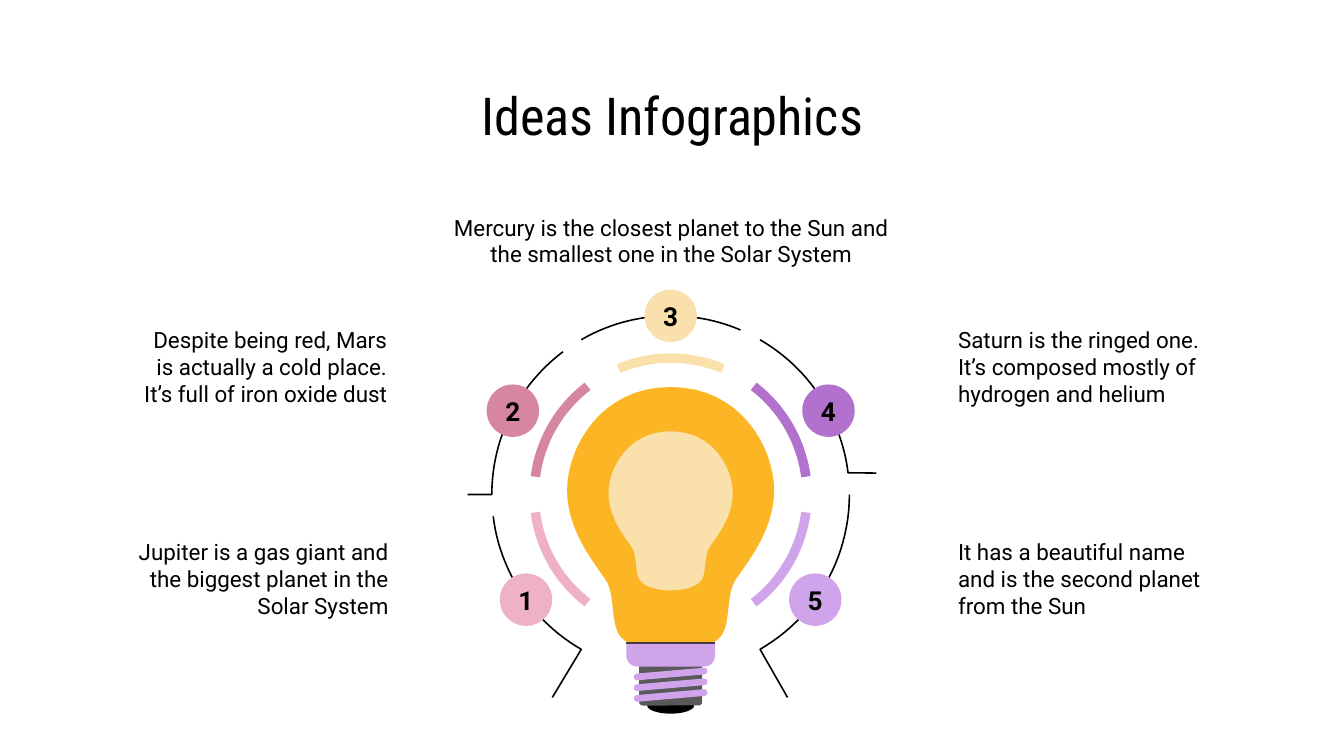
"""Build the Ideas Infographics slide: a light bulb ringed by five numbered ideas."""
from math import cos, radians, sin

from pptx import Presentation
from pptx.dml.color import RGBColor
from pptx.enum.shapes import MSO_SHAPE
from pptx.enum.text import MSO_ANCHOR, PP_ALIGN
from pptx.util import Inches, Pt

BLACK = RGBColor(0x00, 0x00, 0x00)
GREY = RGBColor(0x59, 0x59, 0x59)
ORANGE = RGBColor(0xFC, 0xB5, 0x24)
CREAM = RGBColor(0xFA, 0xE0, 0xAA)
PINK = RGBColor(0xEE, 0xB1, 0xC7)
ROSE = RGBColor(0xD6, 0x86, 0xA3)
PURPLE = RGBColor(0xB2, 0x71, 0xCC)
LILAC = RGBColor(0xD0, 0xA4, 0xEB)

CX, CY = 4.99, 3.68
RING, BAND_OUTER, BAND_INNER, BADGE = 1.33, 1.05, 0.98, 0.39

prs = Presentation()
prs.slide_width = Inches(10)
prs.slide_height = Inches(10) * 9 // 16
s = prs.slides.add_slide(prs.slide_layouts[5])


def arc(radius, start, end, steps=24):
    """Return points on the ring, with angles in degrees clockwise from the top."""
    angles = [radians(start + (end - start) * i / steps) for i in range(steps + 1)]
    return [(CX + radius * sin(a), CY - radius * cos(a)) for a in angles]


def outline(points, color, closed=True):
    """Draw a filled outline, or an open thin line."""
    pts = [(Inches(x), Inches(y)) for x, y in points]
    fb = s.shapes.build_freeform(*pts[0], scale=1.0)
    fb.add_line_segments(pts[1:], close=closed)
    sp = fb.convert_to_shape()
    sp.shadow.inherit = False
    if closed:
        sp.fill.solid()
        sp.fill.fore_color.rgb = color
        sp.line.fill.background()
    else:
        sp.fill.background()
        sp.line.color.rgb = color
        sp.line.width = Pt(0.85)


title = s.shapes.title
title.left, title.top = Inches(3.12), Inches(0.59)
title.width, title.height = Inches(3.76), Inches(0.53)
tf = title.text_frame
tf.word_wrap = True
tf.vertical_anchor = MSO_ANCHOR.MIDDLE
tf.margin_left = tf.margin_right = tf.margin_top = tf.margin_bottom = Inches(0.1)
p = tf.paragraphs[0]
p.alignment = PP_ALIGN.CENTER
r = p.add_run()
r.text = "Ideas Infographics"
r.font.size, r.font.name = Pt(28), "Roboto Condensed"
r.font.color.rgb = BLACK

for start, end, tail in [
    (-97, -150, [(4.11, 5.19)]),
    (90, 150, [(5.86, 5.19)]),
    (-37, -90, [(3.48, 3.68)]),
    (23, -30, []),
    (30, 83, [(6.52, 3.52)]),
]:
    outline(arc(RING, start, end) + tail, BLACK, closed=False)

for number, color, band_angle, badge_angle in [
    ("1", PINK, -120, -126),
    ("2", ROSE, -60, -62),
    ("3", CREAM, 0, 0),
    ("4", PURPLE, 60, 62),
    ("5", LILAC, 120, 126),
]:
    start, end = band_angle - 22.5, band_angle + 22.5
    outline(arc(BAND_OUTER, start, end) + arc(BAND_INNER, end, start), color)

    x, y = arc(RING, badge_angle, badge_angle, 1)[0]
    sp = s.shapes.add_shape(MSO_SHAPE.OVAL, Inches(x - BADGE / 2), Inches(y - BADGE / 2),
                            Inches(BADGE), Inches(BADGE))
    sp.shadow.inherit = False
    sp.fill.solid()
    sp.fill.fore_color.rgb = color
    sp.line.fill.background()
    tf = sp.text_frame
    tf.word_wrap = False
    tf.vertical_anchor = MSO_ANCHOR.MIDDLE
    tf.margin_left = tf.margin_right = tf.margin_top = tf.margin_bottom = 0
    p = tf.paragraphs[0]
    p.alignment = PP_ALIGN.CENTER
    r = p.add_run()
    r.text = number
    r.font.size, r.font.name, r.font.bold = Pt(14), "Roboto", True
    r.font.color.rgb = BLACK

for text, x, y, w, h, align, anchor in [
    ("Despite being red, Mars is actually a cold place. It’s full of iron oxide dust",
     0.9, 2.33, 2.08, 0.83, PP_ALIGN.RIGHT, MSO_ANCHOR.TOP),
    ("It has a beautiful name and is the second planet from the Sun",
     7.03, 3.89, 2.08, 0.83, PP_ALIGN.LEFT, MSO_ANCHOR.MIDDLE),
    ("Saturn is the ringed one. It’s composed mostly of hydrogen and helium",
     7.03, 2.33, 2.08, 0.83, PP_ALIGN.LEFT, MSO_ANCHOR.TOP),
    ("Jupiter is a gas giant and the biggest planet in the Solar System",
     0.91, 3.89, 2.08, 0.83, PP_ALIGN.RIGHT, MSO_ANCHOR.MIDDLE),
    ("Mercury is the closest planet to the Sun and the smallest one in the Solar System",
     3.24, 1.49, 3.51, 0.57, PP_ALIGN.CENTER, MSO_ANCHOR.TOP),
]:
    tf = s.shapes.add_textbox(Inches(x), Inches(y), Inches(w), Inches(h)).text_frame
    tf.word_wrap = True
    tf.vertical_anchor = anchor
    tf.margin_left = tf.margin_right = tf.margin_top = tf.margin_bottom = Inches(0.1)
    p = tf.paragraphs[0]
    p.alignment = align
    r = p.add_run()
    r.text = text
    r.font.size, r.font.name = Pt(12), "Roboto"
    r.font.color.rgb = BLACK

right = [(0, 0), (0.52, 0), (0.77, 0.45), (0.77, 0.77), (0.77, 1.08), (0.55, 1.33),
         (0.48, 1.44), (0.41, 1.55), (0.45, 1.77), (0.37, 1.86)]
controls = right + [(0.24, 2.01), (-0.24, 2.01)] + [(-x, y) for x, y in reversed(right)]
bulb = []
for i in range(0, len(controls) - 1, 3):
    for t in [step / 16 for step in range(16)]:
        weights = [(1 - t) ** 3, 3 * t * (1 - t) ** 2, 3 * t ** 2 * (1 - t), t ** 3]
        curve = list(zip(weights, controls[i:i + 4]))
        bulb.append((sum(w * x for w, (x, y) in curve), sum(w * y for w, (x, y) in curve)))

for top, scale, color in [(2.88, 1, ORANGE), (3.21, 0.6, CREAM)]:
    outline([(CX + scale * x, top + scale * y) for x, y in bulb], color)

base = [
    (MSO_SHAPE.OVAL, 5.19, 0.35, 0.12, BLACK, 0, None),
    (MSO_SHAPE.ROUNDED_RECTANGLE, 4.79, 0.47, 0.46, GREY, 0, 0.06),
    (MSO_SHAPE.ROUND_2_SAME_RECTANGLE, 4.78, 0.66, 0.18, LILAC, 180, 0.45),
    (MSO_SHAPE.RECTANGLE, 4.78, 0.66, 0.01, BLACK, 0, None),
]
base += [(MSO_SHAPE.ROUNDED_RECTANGLE, 4.99 + 0.08 * i, 0.55, 0.05, LILAC, -5, 0.5)
         for i in range(3)]
for kind, y, w, h, color, angle, corner in base:
    sp = s.shapes.add_shape(kind, Inches(CX - w / 2), Inches(y), Inches(w), Inches(h))
    sp.shadow.inherit = False
    sp.fill.solid()
    sp.fill.fore_color.rgb = color
    sp.line.fill.background()
    sp.rotation = angle
    if corner is not None:
        sp.adjustments[0] = corner

prs.save("out.pptx")
